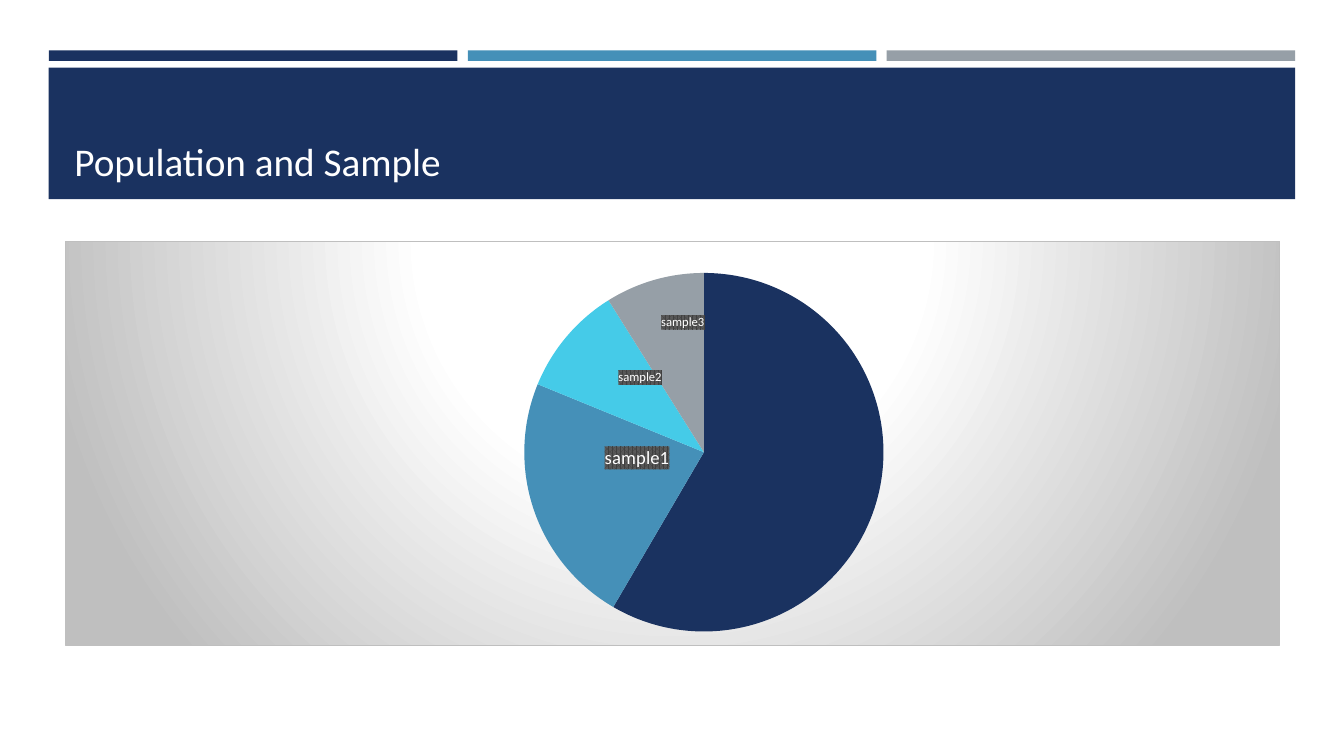
from dataclasses import dataclass

from lxml.etree import SubElement
from pptx import Presentation
from pptx.chart.data import CategoryChartData
from pptx.dml.color import RGBColor
from pptx.enum.chart import XL_CHART_TYPE as ChartType, XL_LABEL_POSITION as LabelPosition
from pptx.enum.shapes import MSO_SHAPE as Shape
from pptx.enum.text import MSO_ANCHOR as Anchor
from pptx.oxml import parse_xml
from pptx.oxml.ns import nsdecls, qn
from pptx.util import Pt

NAVY, BLUE, CYAN, GREY = "1A3260", "4590B8", "45CBE8", "969FA7"
WHITE, BLACK = "FFFFFF", "000000"
FONT = "Calibri"

CHART_BACKGROUND = f"""
<c:spPr {nsdecls('c', 'a')}>
  <a:gradFill>
    <a:gsLst>
      <a:gs pos="0"><a:srgbClr val="FFFFFF"/></a:gs>
      <a:gs pos="39000"><a:srgbClr val="FFFFFF"/></a:gs>
      <a:gs pos="100000"><a:srgbClr val="BFBFBF"/></a:gs>
    </a:gsLst>
    <a:path path="circle">
      <a:fillToRect l="50000" t="-80000" r="50000" b="180000"/>
    </a:path>
  </a:gradFill>
  <a:ln w="9525"><a:solidFill><a:srgbClr val="BFBFBF"/></a:solidFill></a:ln>
</c:spPr>"""

LABEL_BACKGROUND = f"""
<c:spPr {nsdecls('c', 'a')}>
  <a:pattFill prst="pct75">
    <a:fgClr><a:srgbClr val="404040"/></a:fgClr>
    <a:bgClr><a:srgbClr val="595959"/></a:bgClr>
  </a:pattFill>
  <a:ln><a:noFill/></a:ln>
</c:spPr>"""


@dataclass(frozen=True)
class Bar:
    left: float
    top: float
    width: float
    height: float
    color: str


@dataclass(frozen=True)
class Slice:
    category: str
    value: int
    color: str
    label: str = ""
    size: float = 9
    shift_x: float = 0
    shift_y: float = 0


BAR_LEFT, BAR_STEP = 35, 299.2
BARS = [Bar(BAR_LEFT + BAR_STEP * i, 36, 291.8, 7.5, color)
        for i, color in enumerate((NAVY, BLUE, GREY))]
BANNER = Bar(34.8, 48.4, 890.4, 93.8, NAVY)

SLICES = [
    Slice("1", 59, NAVY),
    Slice("2", 23, BLUE, "sample1", 13.3, 0.015, -0.057),
    Slice("3", 10, CYAN, "sample2", 9, 0.004, -0.042),
    Slice("4", 9, GREY, "sample3", 9, 0.003, -0.108),
]


def rgb(color: str) -> RGBColor:
    return RGBColor.from_string(color)


def apply_format(target, values: dict) -> None:
    for name, value in values.items():
        setattr(target, name, value)


def draw_bar(slide, bar: Bar) -> None:
    strip = slide.shapes.add_shape(
        Shape.RECTANGLE, Pt(bar.left), Pt(bar.top), Pt(bar.width), Pt(bar.height))
    strip.shadow.inherit = False
    strip.fill.solid()
    strip.fill.fore_color.rgb = rgb(bar.color)
    strip.line.fill.background()


def draw_title(slide, wording: str) -> None:
    title = slide.shapes.add_textbox(Pt(46.1), Pt(55.4), Pt(868.3), Pt(79.9))
    apply_format(title.text_frame, {"word_wrap": True, "vertical_anchor": Anchor.BOTTOM})
    run = title.text_frame.paragraphs[0].add_run()
    run.text = wording
    apply_format(run.font, {"name": FONT, "size": Pt(28)})
    run.font.color.rgb = rgb(WHITE)


def make_layout(values: dict):
    layout = parse_xml(f"<c:layout {nsdecls('c')}/>")
    manual = SubElement(layout, qn("c:manualLayout"))
    for name, value in values.items():
        SubElement(manual, qn(f"c:{name}")).set("val", str(value))
    return layout


def draw_label(series, index: int, part: Slice) -> None:
    label = series.points[index].data_label
    run = label.text_frame.paragraphs[0].add_run()
    run.text = part.label
    apply_format(run.font, {"size": Pt(part.size), "bold": False})
    run.font.color.rgb = rgb(WHITE)
    label.position = LabelPosition.CENTER
    for node in series.data_labels._element.findall(qn("c:dLbl")):
        if node.find(qn("c:idx")).get("val") == str(index):
            node.find(qn("c:idx")).addnext(
                make_layout({"x": part.shift_x, "y": part.shift_y}))
            node.find(qn("c:tx")).addnext(parse_xml(LABEL_BACKGROUND))


def draw_pie(slide, slices: list[Slice]) -> None:
    data = CategoryChartData()
    data.categories = [part.category for part in slices]
    data.add_series("Series 1", [part.value for part in slices])
    pie = slide.shapes.add_chart(
        ChartType.PIE, Pt(46.1), Pt(171.8), Pt(868.3), Pt(289.5), data).chart
    apply_format(pie, {"has_title": False, "has_legend": False})
    apply_format(pie.font, {"name": FONT, "size": Pt(10)})
    pie.font.color.rgb = rgb(BLACK)
    pie.plots[0].vary_by_categories = True

    series = pie.plots[0].series[0]
    for index, part in enumerate(slices):
        fill = series.points[index].format.fill
        fill.solid()
        fill.fore_color.rgb = rgb(part.color)
        if part.label:
            draw_label(series, index, part)

    chart_node = pie.element.find(qn("c:chart"))
    chart_node.addnext(parse_xml(CHART_BACKGROUND))
    plot_area = chart_node.find(qn("c:plotArea"))
    for old_layout in plot_area.findall(qn("c:layout")):
        plot_area.remove(old_layout)
    plot_area.insert(0, make_layout({
        "layoutTarget": "inner", "xMode": "edge", "yMode": "edge",
        "x": 0.378, "y": 0.079, "w": 0.296, "h": 0.887}))


def main() -> None:
    deck = Presentation()
    apply_format(deck, {"slide_width": Pt(960), "slide_height": Pt(540)})
    slide = deck.slides.add_slide(deck.slide_layouts[6])
    for bar in [*BARS, BANNER]:
        draw_bar(slide, bar)
    draw_title(slide, "Population and Sample")
    draw_pie(slide, SLICES)
    deck.save("out.pptx")


if __name__ == "__main__":
    main()
